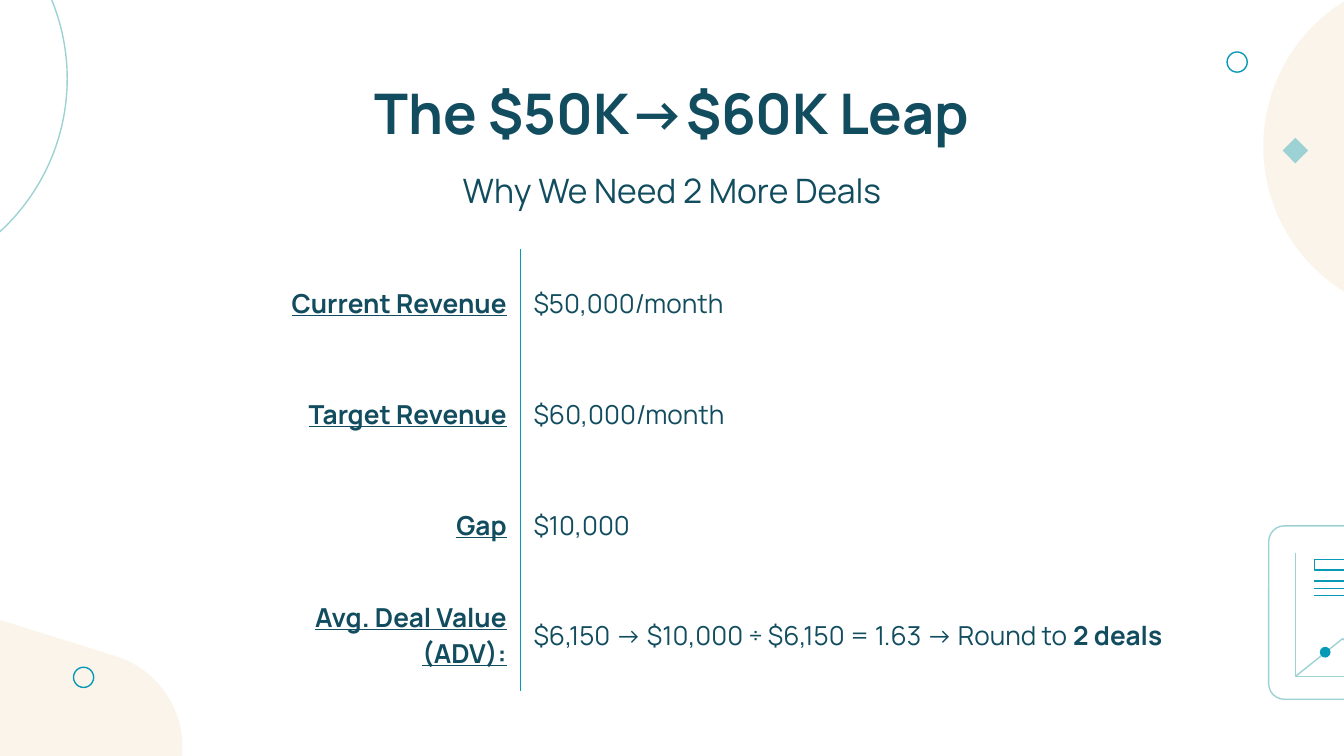
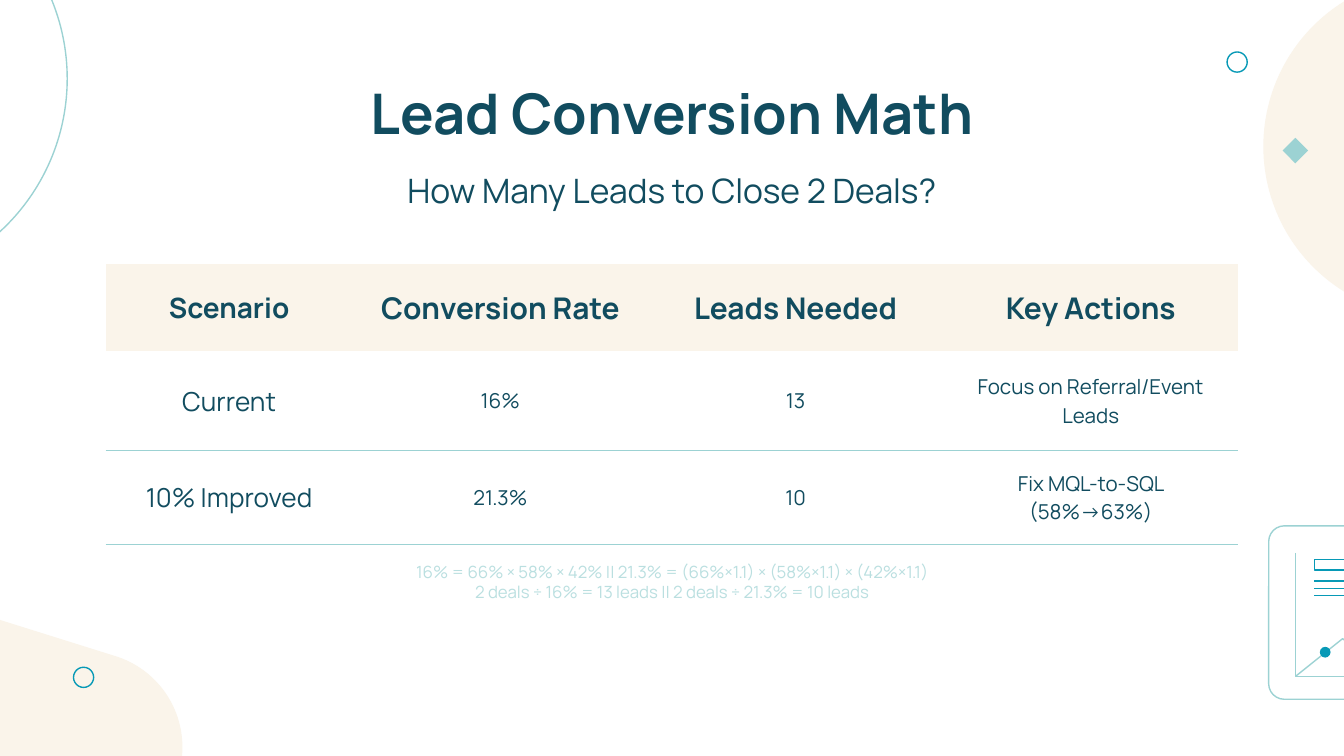
from collections import namedtuple

from lxml import etree
from pptx import Presentation
from pptx import util as u
from pptx.dml.color import RGBColor
from pptx.enum import shapes, text
from pptx.oxml.ns import qn

# The slide is a grid of square cells: 100 columns by 56.25 rows (16:9).
COLS, ROWS = 100, 56.25
CELL = u.Inches(0.1)

FONT = "Manrope"
DARK, TEAL, MINT, PALE, CREAM = "114C5F", "0799B6", "9CD2D3", "BADFE0", "FAF4EA"
HAIRLINE = 0.75
NO_STYLE = "{2D5ABB26-0587-4C30-8999-92F81FD0307C}"
PRESET, ALIGN = shapes.MSO_SHAPE, text.PP_ALIGN

Box = namedtuple("Box", "x y w h")
SLIDE = Box(0, 0, COLS, ROWS)


def within(box, x, y, w, h):
    """Box given by an offset from the corner of another box."""
    return Box(box.x + x, box.y + y, w, h)


def centred(box, y, w, h):
    return within(box, (box.w - w) / 2, y, w, h)


def grid(*values):
    return [u.Emu(round(v * CELL)) for v in values]


def rgb(color):
    return RGBColor.from_string(color)


def paint(sp, fill=None, line=None):
    sp.shadow.inherit = False
    if fill:
        sp.fill.solid()
        sp.fill.fore_color.rgb = rgb(fill)
    else:
        sp.fill.background()
    if line:
        sp.line.color.rgb = rgb(line)
        sp.line.width = u.Pt(HAIRLINE)
    else:
        sp.line.fill.background()


def add_preset(s, preset, box, fill=None, line=None, adj=None, rotation=0):
    sp = s.shapes.add_shape(preset, *grid(*box))
    if adj is not None:
        sp.adjustments[0] = adj
    sp.rotation = rotation
    paint(sp, fill, line)


def add_path(s, box, points, line):
    """Open line through points measured from the corner of the box."""
    places = [grid(box.x + x, box.y + y) for x, y in points]
    builder = s.shapes.build_freeform(*places[0])
    builder.add_line_segments(places[1:], close=False)
    paint(builder.convert_to_shape(), line=line)


def add_rule(s, x, y, length, color):
    line = s.shapes.add_connector(
        shapes.MSO_CONNECTOR.STRAIGHT, *grid(x, y, x + length, y))
    line.line.color.rgb = rgb(color)
    line.line.width = u.Pt(HAIRLINE)
    etree.SubElement(line._element.spPr, qn("a:effectLst"))


def write(tf, *lines, size, color=DARK, bold=False, underline=False,
          align=ALIGN.CENTER, after=None):
    """One paragraph per line; words between ** marks are bold."""
    for i, line in enumerate(lines):
        p = tf.add_paragraph() if i else tf.paragraphs[0]
        p.alignment = align
        if after:
            p.space_after = u.Pt(after)
        for j, words in enumerate(line.split("**")):
            if not words:
                continue
            r = p.add_run()
            r.text = words
            r.font.size = u.Pt(size)
            r.font.name = FONT
            r.font.bold = bold or j % 2 == 1
            r.font.underline = underline
            r.font.color.rgb = rgb(color)
            for tag in ("a:ea", "a:cs"):
                etree.SubElement(r.font._element, qn(tag), typeface=FONT)


def add_text(s, box, *lines, inset=1, **fmt):
    tf = s.shapes.add_textbox(*grid(*box)).text_frame
    tf.word_wrap = True
    tf.margin_top, tf.margin_bottom = grid(inset, inset)
    write(tf, *lines, **fmt)


def add_table(s, box, widths, heights):
    frame = s.shapes.add_table(len(heights), len(widths), *grid(*box))
    table = frame.table
    table.first_row = table.horz_banding = False
    table._tbl.tblPr.find(qn("a:tableStyleId")).text = NO_STYLE
    for col, width in zip(table.columns, grid(*widths)):
        col.width = width
    for row, height in zip(table.rows, grid(*heights)):
        row.height = height
    return table


def fill_cell(cell, words, inset=1, fill=None, borders=(), color=TEAL, **fmt):
    """Write a cell; borders names its drawn sides in the order L, R, T, B."""
    cell.vertical_anchor = text.MSO_ANCHOR.MIDDLE
    cell.margin_left, cell.margin_right = grid(1, 1)
    cell.margin_top, cell.margin_bottom = grid(inset, inset)
    if fill:
        cell.fill.solid()
        cell.fill.fore_color.rgb = rgb(fill)
    else:
        cell.fill.background()
    tcPr = cell._tc.get_or_add_tcPr()
    for i, side in enumerate(borders):
        ln = etree.Element(qn(f"a:ln{side}"), w=str(u.Pt(HAIRLINE)))
        solid = etree.SubElement(ln, qn("a:solidFill"))
        etree.SubElement(solid, qn("a:srgbClr"), val=color)
        tcPr.insert(i, ln)
    write(cell.text_frame, words, **fmt)


def draw_dashboard(s, box):
    """Outlined panel with a small line chart and legend."""
    add_preset(s, PRESET.ROUNDED_RECTANGLE, box, line=MINT, adj=0.09)
    add_path(s, box, [(2, 2), (2, 11.2), (17, 11.2)], MINT)
    add_path(s, box, [(2, 11.2), (5.5, 8.4), (6.9, 9.5), (11.7, 4.5),
                      (13.5, 7), (17, 3.6)], MINT)
    add_preset(s, PRESET.OVAL, within(box, 3.8, 9, 0.8, 0.8), fill=TEAL)
    add_preset(s, PRESET.RECTANGLE, within(box, 3.4, 2.5, 4.1, 0.8), line=TEAL)
    for i in range(3):
        add_rule(s, box.x + 3.4, box.y + 4.1 + 0.55 * i, 2.6, TEAL)


def draw_decor(s, box):
    add_preset(s, PRESET.OVAL, within(box, 94, -1.8, 25.4, 25.4), fill=CREAM)
    add_preset(s, PRESET.ROUNDED_RECTANGLE, within(box, -18.9, 45.7, 32.9, 14.2),
               fill=CREAM, adj=0.5, rotation=17.4)
    draw_dashboard(s, within(box, 94.4, 39.13, 19.6, 12.9))
    add_preset(s, PRESET.OVAL, within(box, -25.9, -9.6, 30.9, 30.9), line=MINT)
    add_preset(s, PRESET.DIAMOND, within(box, 95.43, 10.25, 1.9, 1.9), fill=MINT)
    for x, y in ((91.3, 3.87), (5.47, 49.65)):
        add_preset(s, PRESET.OVAL, within(box, x, y, 1.5, 1.5), line=TEAL)


def new_slide(prs, title, subtitle):
    s = prs.slides.add_slide(prs.slide_layouts[6])
    draw_decor(s, SLIDE)
    add_text(s, within(SLIDE, 0, 4.85, COLS, 6.3), title, size=30, bold=True)
    add_text(s, centred(SLIDE, 11.64, 84.3, 4), subtitle, size=18)
    return s


def draw_facts(s, box, facts):
    """Labels on the left of a vertical rule, values on the right."""
    label_w = 22.5
    table = add_table(s, box, [label_w, box.w - label_w],
                      [box.h / len(facts)] * len(facts))
    for i, (label, value) in enumerate(facts):
        last = i == len(facts) - 1
        fill_cell(table.cell(i, 0), label, inset=0, borders="R", size=14,
                  bold=True, underline=True, align=ALIGN.RIGHT)
        fill_cell(table.cell(i, 1), value, inset=0, borders="L", size=14,
                  align=ALIGN.LEFT, after=None if last else 16)


def draw_scenarios(s, box, rows):
    """Header band, then rows parted by thin rules."""
    first_w = 18.4
    other_w = (box.w - first_w) / 3
    table = add_table(s, box, [first_w] + [other_w] * 3, [6.5, 7.4, 7])
    for i, row in enumerate(rows):
        for j, words in enumerate(row):
            cell = table.cell(i, j)
            if i == 0:
                fill_cell(cell, words, fill=CREAM, bold=True,
                          size=16 if j else 15)
            else:
                fill_cell(cell, words, borders="B" if i == 1 else "TB",
                          color=MINT, size=11 if j else 14)


def revenue_slide(prs):
    s = new_slide(prs, "The $50K→$60K Leap", "Why We Need 2 More Deals")
    draw_facts(s, within(SLIDE, 16.2, 18.5, 75.9, 32.9), [
        ("Current Revenue", "$50,000/month"),
        ("Target Revenue", "$60,000/month"),
        ("Gap", "$10,000"),
        ("Avg. Deal Value (ADV):",
         "$6,150 → $10,000 ÷ $6,150 = 1.63 → Round to **2 deals**"),
    ])


def conversion_slide(prs):
    s = new_slide(prs, "Lead Conversion Math", "How Many Leads to Close 2 Deals?")
    draw_scenarios(s, centred(SLIDE, 19.64, 84.3, 20.9), [
        ("Scenario", "Conversion Rate", "Leads Needed", "Key Actions"),
        ("Current", "16%", "13", "Focus on Referral/Event Leads"),
        ("10% Improved", "21.3%", "10", "Fix MQL-to-SQL (58%→63%)"),
    ])
    add_text(s, centred(SLIDE, 41.27, 72.6, 4),
             "16% = 66% × 58% × 42% || 21.3% = (66%×1.1) × (58%×1.1) × (42%×1.1)",
             "2 deals ÷ 16% = 13 leads || 2 deals ÷ 21.3% = 10 leads",
             inset=0.5, size=9, color=PALE)


def main():
    prs = Presentation()
    prs.slide_width, prs.slide_height = grid(COLS, ROWS)
    revenue_slide(prs)
    conversion_slide(prs)
    prs.save("out.pptx")


if __name__ == "__main__":
    main()
